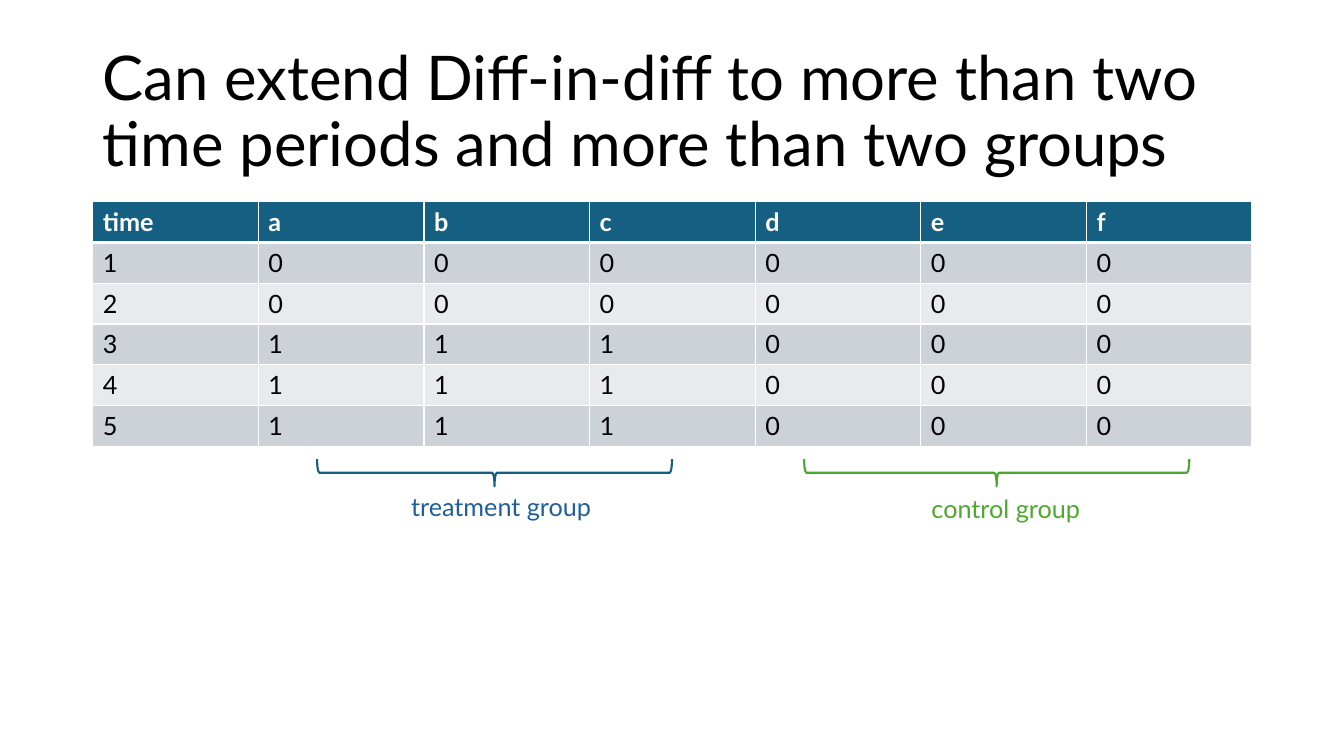
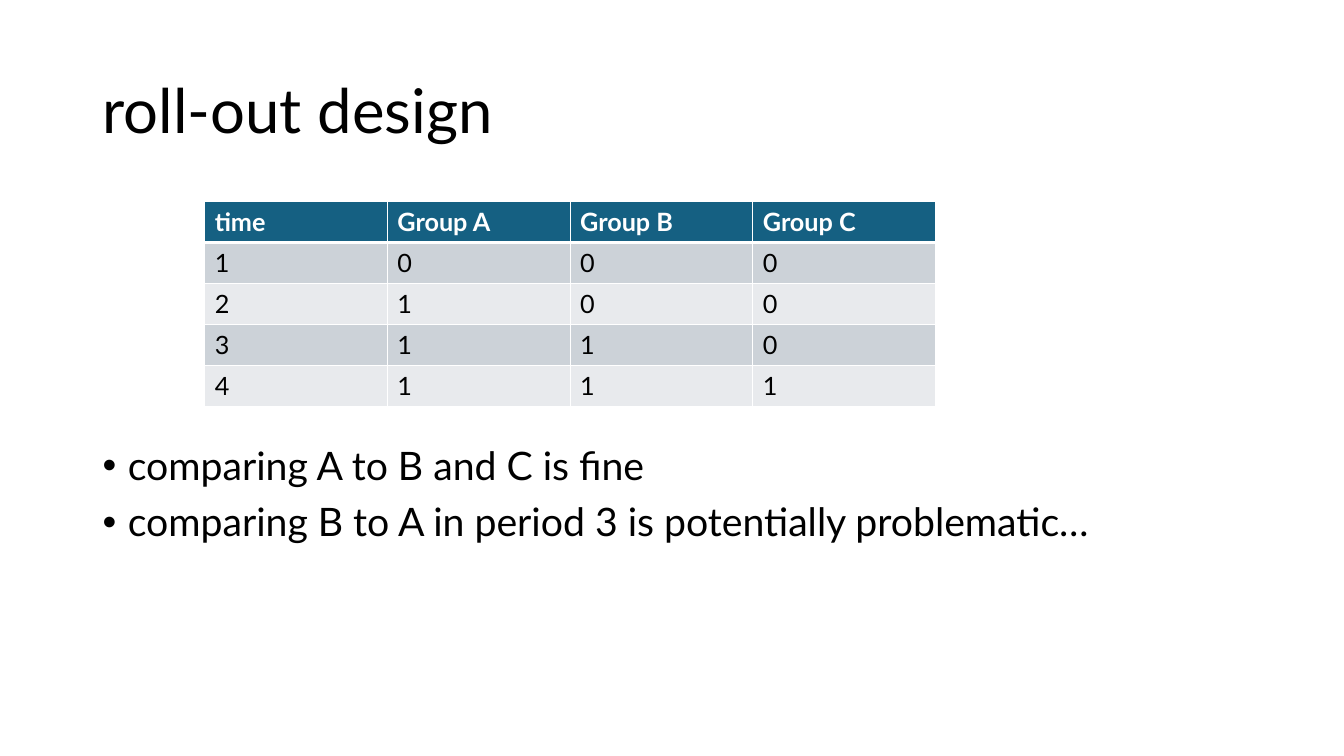
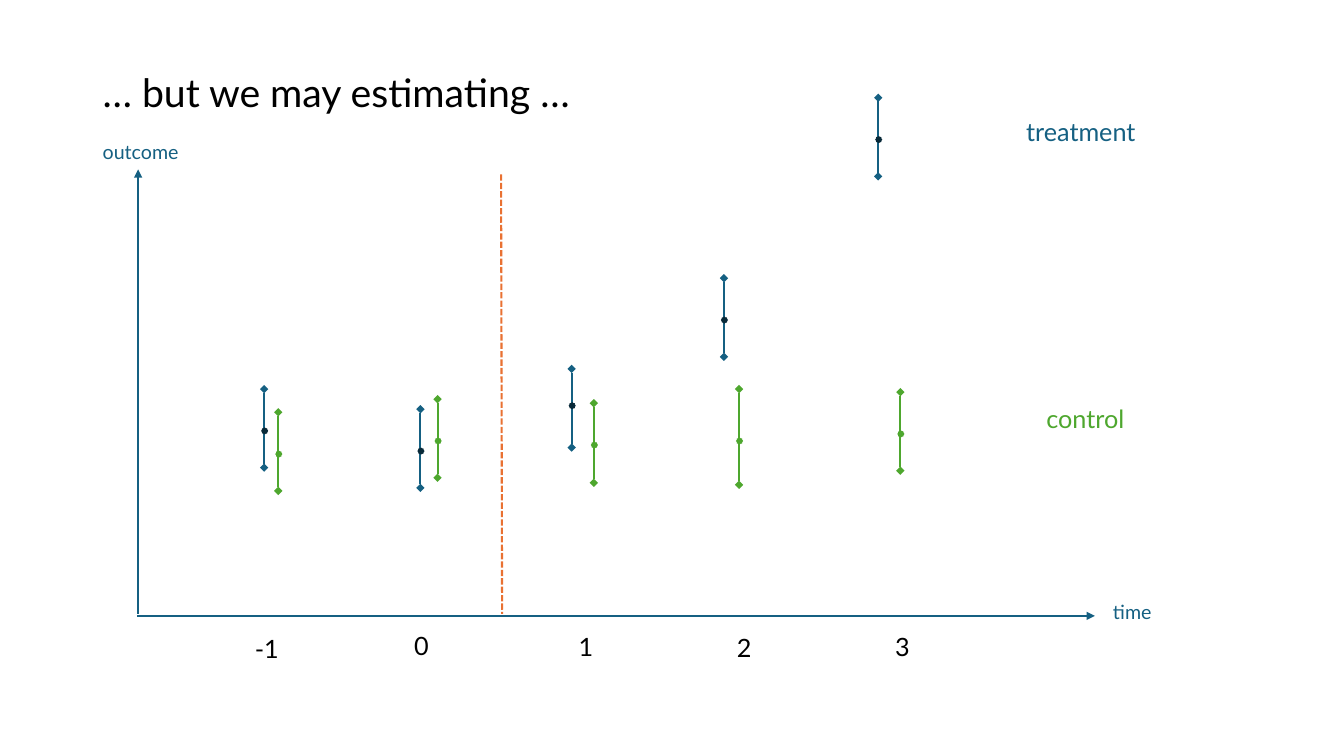
import pptx
import pptx.dml.color
import pptx.enum.dml
import pptx.enum.shapes
import pptx.enum.text
import pptx.oxml.ns
import pptx.util
from lxml import etree

RGB = pptx.dml.color.RGBColor
SHAPE = pptx.enum.shapes.MSO_SHAPE
ANCHOR = pptx.enum.text.MSO_ANCHOR
qn = pptx.oxml.ns.qn

EMU_PER_PX = 9144
FONT = "Lato"
BLACK = RGB(0x00, 0x00, 0x00)
WHITE = RGB(0xFF, 0xFF, 0xFF)
BLUE = RGB(0x15, 0x60, 0x82)
LABEL_BLUE = RGB(0x21, 0x5F, 0x9A)
NAVY = RGB(0x09, 0x2A, 0x39)
GREEN = RGB(0x4E, 0xA7, 0x2E)
ORANGE = RGB(0xE9, 0x71, 0x32)
BANDS = (RGB(0xCC, 0xD2, 0xD8), RGB(0xE8, 0xEA, 0xED))


def px(length):
    return pptx.util.Emu(round(length * EMU_PER_PX))


def write_text(frame, text, *, size=18, color=BLACK, bold=False, spacing=None,
               before=0, bullet=None):
    frame.word_wrap = True
    for index, line in enumerate(text.split("\n")):
        paragraph = frame.add_paragraph() if index else frame.paragraphs[0]
        run = paragraph.add_run()
        run.text = line
        run.font.name = FONT
        run.font.size = pptx.util.Pt(size)
        run.font.bold = bold
        run.font.color.rgb = color
        paragraph.space_before = pptx.util.Pt(before)
        if spacing:
            paragraph.line_spacing = spacing
        if bullet:
            properties = paragraph._p.get_or_add_pPr()
            properties.set("marL", str(px(25)))
            properties.set("indent", str(px(-25)))
            etree.SubElement(properties, qn("a:buFont"), typeface="Arial")
            etree.SubElement(properties, qn("a:buChar"), char=bullet)


def set_borders(cell, widths):
    properties = cell._tc.get_or_add_tcPr()
    for side, width in widths.items():
        border = etree.SubElement(properties, qn(f"a:ln{side}"), w=str(pptx.util.Pt(width)))
        fill = etree.SubElement(border, qn("a:solidFill"))
        etree.SubElement(fill, qn("a:srgbClr"), val=str(WHITE))


class Deck:
    def __init__(self, width, height):
        self.presentation = pptx.Presentation()
        self.presentation.slide_width = px(width)
        self.presentation.slide_height = px(height)
        self.shapes = None

    def new_slide(self, title, size=44, height=145):
        blank = self.presentation.slide_layouts[6]
        self.shapes = self.presentation.slides.add_slide(blank).shapes
        self.text(92, 40, 1150, height, title, anchor=ANCHOR.MIDDLE, size=size, spacing=0.9)

    def text(self, left, top, width, height, text, anchor=ANCHOR.TOP, **style):
        box = self.shapes.add_textbox(px(left), px(top), px(width), px(height))
        box.text_frame.vertical_anchor = anchor
        write_text(box.text_frame, text, **style)

    def table(self, left, top, width, height, rows):
        columns = len(rows[0])
        table = self.shapes.add_table(len(rows), columns, px(left), px(top),
                                      px(width), px(height)).table
        for column in table.columns:
            column.width = px(width / columns)
        for r, values in enumerate(rows):
            table.rows[r].height = px(height / len(rows))
            header = r == 0
            for c, value in enumerate(values):
                cell = table.cell(r, c)
                set_borders(cell, {"L": 1, "R": 1, "T": 3 if r == 1 else 1, "B": 3 if header else 1})
                cell.fill.solid()
                cell.fill.fore_color.rgb = BLUE if header else BANDS[(r - 1) % 2]
                write_text(cell.text_frame, value, color=WHITE if header else BLACK, bold=header)

    def shape(self, kind, left, top, width, height, line, fill=None, rotation=0):
        shape = self.shapes.add_shape(kind, px(left), px(top), px(width), px(height))
        shape.shadow.inherit = False
        shape.rotation = rotation
        shape.line.color.rgb = line
        shape.line.width = pptx.util.Pt(1.5)
        if fill is None:
            shape.fill.background()
        else:
            shape.fill.solid()
            shape.fill.fore_color.rgb = fill

    def line(self, start, end, color, head=None, tail=None, dash=None):
        line = self.shapes.add_connector(pptx.enum.shapes.MSO_CONNECTOR.STRAIGHT,
                                         *map(px, start + end))
        line.line.color.rgb = color
        line.line.width = pptx.util.Pt(1.5)
        if dash:
            line.line.dash_style = dash
        outline = line.line._get_or_add_ln()
        for tag, arrow in (("a:headEnd", head), ("a:tailEnd", tail)):
            if arrow:
                etree.SubElement(outline, qn(tag), type=arrow)
        etree.SubElement(line._element.spPr, qn("a:effectLst"))

    def interval(self, x, top, bottom, estimate, color, star_line):
        self.line((x, top), (x, bottom), color, head="diamond", tail="diamond")
        self.shape(SHAPE.SUN, x - 2, estimate, 5, 5, star_line, fill=color)


def groups_slide(deck):
    deck.new_slide("Can extend Diff-in-diff to more than two time periods and more than two groups")
    rows = ["time a b c d e f".split()]
    for period in range(1, 6):
        treated = "1" if period >= 3 else "0"
        rows.append([str(period)] + [treated] * 3 + ["0"] * 3)
    deck.table(92, 200, 1150, 243, rows)
    deck.text(398, 483, 316, 40, "treatment group", color=LABEL_BLUE)
    deck.text(914, 484, 308, 40, "control group", color=GREEN)
    deck.shape(SHAPE.LEFT_BRACE, 477, 293, 27, 352, BLUE, rotation=270)
    deck.shape(SHAPE.LEFT_BRACE, 975, 278, 27, 382, GREEN, rotation=270)


def rollout_slide(deck):
    deck.new_slide("roll-out design")
    deck.text(92, 438, 1150, 237,
              "comparing A to B and C is fine\n"
              "comparing B to A in period 3 is potentially problematic…",
              size=28, spacing=0.9, before=10, bullet="•")
    rows = [["time", "Group A", "Group B", "Group C"]]
    for period in range(1, 5):
        rows.append([str(period)] + ["1" if period >= start else "0" for start in (2, 3, 4)])
    deck.table(203, 200, 725, 203, rows)


def estimates_slide(deck):
    deck.new_slide("… but we may estimating …", size=28, height=109)
    deck.line((137, 609), (137, 168), BLUE, tail="triangle")
    deck.line((136, 611), (1086, 611), BLUE, tail="triangle")

    treatment = ((262, 386, 464, 425), (417, 406, 484, 445), (567, 366, 444, 400),
                 (718, 276, 354, 315), (871, 97, 175, 136))
    control = ((276, 409, 487, 448), (434, 396, 474, 435), (589, 400, 479, 439),
               (733, 386, 481, 435), (893, 389, 467, 428))
    for intervals, color, star_line in ((treatment, BLUE, NAVY), (control, GREEN, GREEN)):
        for x, top, bottom, estimate in intervals:
            deck.interval(x, top, bottom, estimate, color, star_line)

    deck.line((497, 173), (498, 609), ORANGE, dash=pptx.enum.dml.MSO_LINE.SQUARE_DOT)
    deck.text(1008, 111, 170, 40, "treatment", color=BLUE)
    deck.text(1028, 395, 248, 40, "control", color=GREEN)
    for period, left, top in (("-1", 243, 623), ("0", 401, 620), ("1", 564, 621),
                              ("2", 721, 622), ("3", 878, 621)):
        deck.text(left, top, 62, 42, period)
    deck.text(1094, 590, 113, 34, "time", size=14, color=BLUE)
    deck.text(92, 134, 113, 34, "outcome", size=14, color=BLUE)


def main():
    deck = Deck(1333, 750)
    groups_slide(deck)
    rollout_slide(deck)
    estimates_slide(deck)
    deck.presentation.save("out.pptx")


if __name__ == "__main__":
    main()
